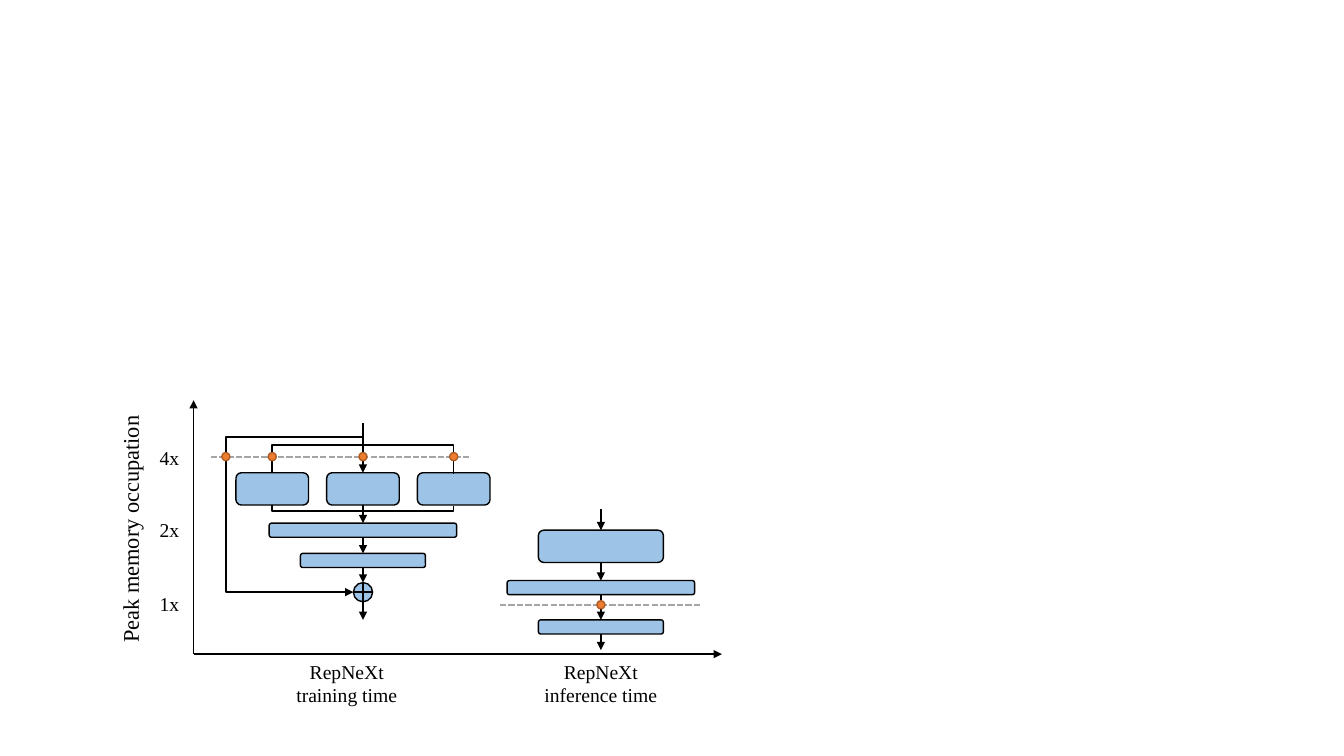
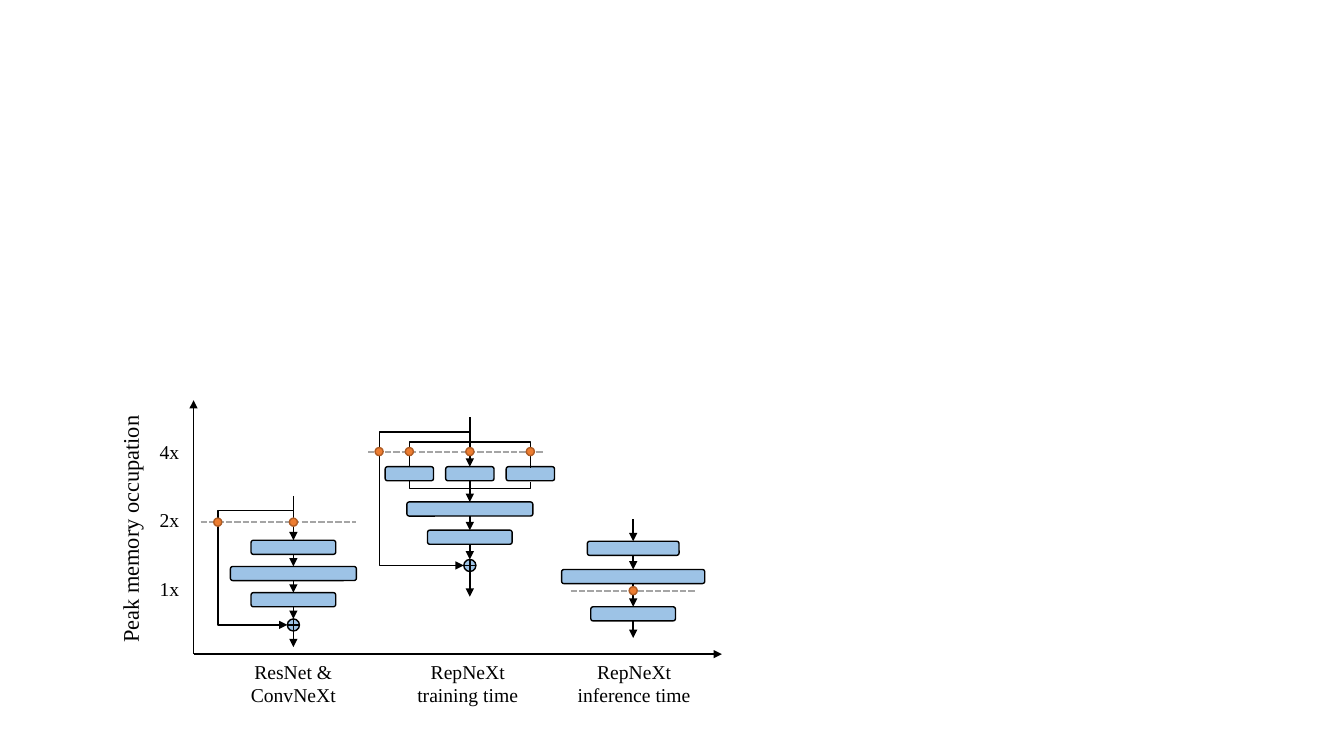
from dataclasses import dataclass

from lxml.etree import SubElement
from pptx import Presentation
from pptx.dml.color import RGBColor
from pptx.enum.dml import MSO_LINE
from pptx.enum.shapes import MSO_CONNECTOR as Line, MSO_SHAPE as Shape
from pptx.enum.text import MSO_AUTO_SIZE, PP_ALIGN
from pptx.oxml.ns import qn
from pptx.util import Inches, Pt

BLACK = RGBColor(0x00, 0x00, 0x00)
BLUE = RGBColor(0x9D, 0xC3, 0xE6)
ORANGE = RGBColor(0xED, 0x7D, 0x31)
RUST = RGBColor(0xAF, 0x5C, 0x24)
GRAY = RGBColor(0xA5, 0xA5, 0xA5)
FONT = "Times New Roman"

ORIGIN = (1.92, 6.49)
AXIS_RIGHT, AXIS_TOP = 7.16, 3.97
THIN = 0.14
DOT = 0.08
BRACKET_STEP = 0.01


@dataclass
class Block:
    """One network block: layers are (top, width, height), guide is (y, left, right)."""
    caption: tuple
    caption_center: float
    center: float
    top: float
    bottom: float
    layers: list
    guide: tuple
    node: tuple = None      # top, diameter
    skip: tuple = None      # x of the side line, y where it leaves
    branch: tuple = None    # offset of side boxes, y of upper and lower bracket


TRAINING = ("RepNeXt", "training time")
INFERENCE = ("RepNeXt", "inference time")

SLIDES = [
    {
        "ticks": {"1x": 5.99, "2x": 5.26, "4x": 4.54},
        "blocks": [
            Block(TRAINING, 3.44, 3.6, 4.2, 6.15,
                  [(4.69, 0.72, 0.32), (5.19, 1.86, THIN), (5.49, 1.24, THIN)],
                  (4.53, 2.09, 4.67), (5.78, 0.19), (2.24, 4.33), (0.9, 4.41, 5.07)),
            Block(INFERENCE, 5.96, 5.96, 5.05, 6.45,
                  [(5.26, 1.24, 0.32), (5.76, 1.86, THIN), (6.15, 1.24, THIN)],
                  (6.0, 4.96, 6.94)),
        ],
    },
    {
        "ticks": {"1x": 5.84, "2x": 5.16, "4x": 4.49},
        "blocks": [
            Block(TRAINING, 4.64, 4.66, 4.14, 5.92,
                  [(4.63, 0.48, THIN), (4.98, 1.25, THIN), (5.26, 0.84, THIN)],
                  (4.48, 3.65, 5.39), (5.55, 0.12), (3.76, 4.28), (0.6, 4.38, 4.85)),
            Block(INFERENCE, 6.29, 6.28, 5.15, 6.33,
                  [(5.37, 0.91, THIN), (5.65, 1.42, THIN), (6.02, 0.84, THIN)],
                  (5.86, 5.66, 6.9)),
            Block(("ResNet &", "ConvNeXt"), 2.91, 2.91, 4.92, 6.42,
                  [(5.36, 0.84, THIN), (5.62, 1.25, THIN), (5.88, 0.84, THIN)],
                  (5.18, 1.99, 3.53), (6.14, 0.12), (2.16, 5.06)),
        ],
    },
]


def add_text(slide, lines, center_x, center_y, width, height, size=14,
             align=PP_ALIGN.CENTER, rotation=0):
    box = slide.shapes.add_textbox(Inches(center_x - width / 2), Inches(center_y - height / 2),
                                   Inches(width), Inches(height))
    box.rotation = rotation
    frame = box.text_frame
    frame.word_wrap = True
    frame.auto_size = MSO_AUTO_SIZE.SHAPE_TO_FIT_TEXT
    for index, line in enumerate(lines):
        paragraph = frame.add_paragraph() if index else frame.paragraphs[0]
        paragraph.alignment = align
        run = paragraph.add_run()
        run.text = line
        run.font.name, run.font.size = FONT, Pt(size)
        run.font.color.rgb = BLACK


def add_part(shapes, kind, center_x, top, width, height, fill=BLUE, outline=BLACK):
    shape = shapes.add_shape(kind, Inches(center_x - width / 2), Inches(top),
                             Inches(width), Inches(height))
    shape.shadow.inherit = False
    shape.fill.solid()
    shape.fill.fore_color.rgb = fill
    shape.line.color.rgb = outline
    shape.line.width = Pt(1)
    return shape


def add_line(shapes, start, end, color=BLACK, width=1, arrow=True, kind=Line.STRAIGHT):
    connector = shapes.add_connector(kind, *(Inches(value) for value in (*start, *end)))
    connector.line.color.rgb = color
    connector.line.width = Pt(width)
    if arrow:
        SubElement(connector.line._get_or_add_ln(), qn("a:tailEnd"), type="triangle")
    SubElement(connector._element.spPr, qn("a:effectLst"))
    return connector


def add_elbow(shapes, left, top, width, height, rotation, adjustments, flip=False, arrow=False):
    """Bent connector covering the given area, turned by 90 or 270 degrees."""
    x, y = left + (width - height) / 2, top + (height - width) / 2
    connector = add_line(shapes, (x, y), (x + height, y + width), arrow=arrow, kind=Line.ELBOW)
    properties = connector._element.spPr
    properties.xfrm.set("rot", str(rotation * 60000))
    if flip:
        properties.xfrm.set("flipH", "1")
    geometry = properties.find(qn("a:prstGeom"))
    geometry.set("prst", f"bentConnector{len(adjustments) + 2}")
    guides = geometry.find(qn("a:avLst"))
    if guides is None:
        guides = SubElement(geometry, qn("a:avLst"))
    for number, share in enumerate(adjustments, 1):
        SubElement(guides, qn("a:gd"), name=f"adj{number}", fmla=f"val {round(share * 100000)}")


def add_bracket(shapes, center, half_span, y, outer_y):
    add_elbow(shapes, center - half_span, y, 2 * half_span, BRACKET_STEP, 270,
              [(outer_y - y) / BRACKET_STEP], flip=True)


def add_skip(shapes, block):
    side_x, start_y = block.skip
    node_top, diameter = block.node
    radius = diameter / 2
    add_elbow(shapes, block.center - radius, start_y, radius, node_top + radius - start_y, 90,
              [0.005, (block.center - side_x) / radius], arrow=True)


def add_block(slide, block):
    shapes = slide.shapes.add_group_shape().shapes
    center = block.center
    parts = [add_part(shapes, Shape.ROUNDED_RECTANGLE, center, *layer) for layer in block.layers]
    ends = [(top, top + height) for top, _, height in block.layers]
    if block.node:
        top, diameter = block.node
        parts.append(add_part(shapes, Shape.FLOWCHART_OR, center, top, diameter, diameter))
        ends.append((top, top + diameter))

    starts = [block.top] + [bottom for _, bottom in ends]
    stops = [top for top, _ in ends] + [block.bottom]
    for index, (start, stop) in enumerate(zip(starts, stops)):
        arrow = add_line(shapes, (center, start), (center, stop))
        if 0 < index <= len(block.layers):
            arrow.begin_connect(parts[index - 1], 2)
        if index < len(parts):
            arrow.end_connect(parts[index], 0)

    dots = [center]
    if block.branch:
        offset, upper, lower = block.branch
        sides = [center - offset, center + offset]
        for x in sides:
            add_part(shapes, Shape.ROUNDED_RECTANGLE, x, *block.layers[0])
        add_bracket(shapes, center, offset, ends[0][0], upper)
        add_bracket(shapes, center, offset, ends[0][1], lower)
        dots += sides
    if block.skip:
        add_skip(shapes, block)
        dots.append(block.skip[0])

    y, left, right = block.guide
    guide = add_line(shapes, (left, y), (right, y), GRAY, 1.5, arrow=False)
    guide.line.dash_style = MSO_LINE.SQUARE_DOT
    for x in dots:
        add_part(shapes, Shape.OVAL, x, y - DOT / 2, DOT, DOT, ORANGE, RUST)
    add_text(slide, block.caption, block.caption_center, 6.78, 1.6, 0.57)


def add_chart_frame(slide, ticks):
    add_line(slide.shapes, ORIGIN, (AXIS_RIGHT, ORIGIN[1]))
    add_line(slide.shapes, ORIGIN, (ORIGIN[0], AXIS_TOP))
    for label, y in ticks.items():
        add_text(slide, [label], 1.73, y, 0.49, 0.34, align=PP_ALIGN.LEFT)
    add_text(slide, ["Peak memory occupation"], 1.29, 5.25, 2.52, 0.37, size=16, rotation=270)


def main():
    presentation = Presentation()
    presentation.slide_width, presentation.slide_height = Inches(13.33), Inches(7.5)
    for content in SLIDES:
        slide = presentation.slides.add_slide(presentation.slide_layouts[6])
        add_chart_frame(slide, content["ticks"])
        for block in content["blocks"]:
            add_block(slide, block)
    presentation.save("out.pptx")


if __name__ == "__main__":
    main()
